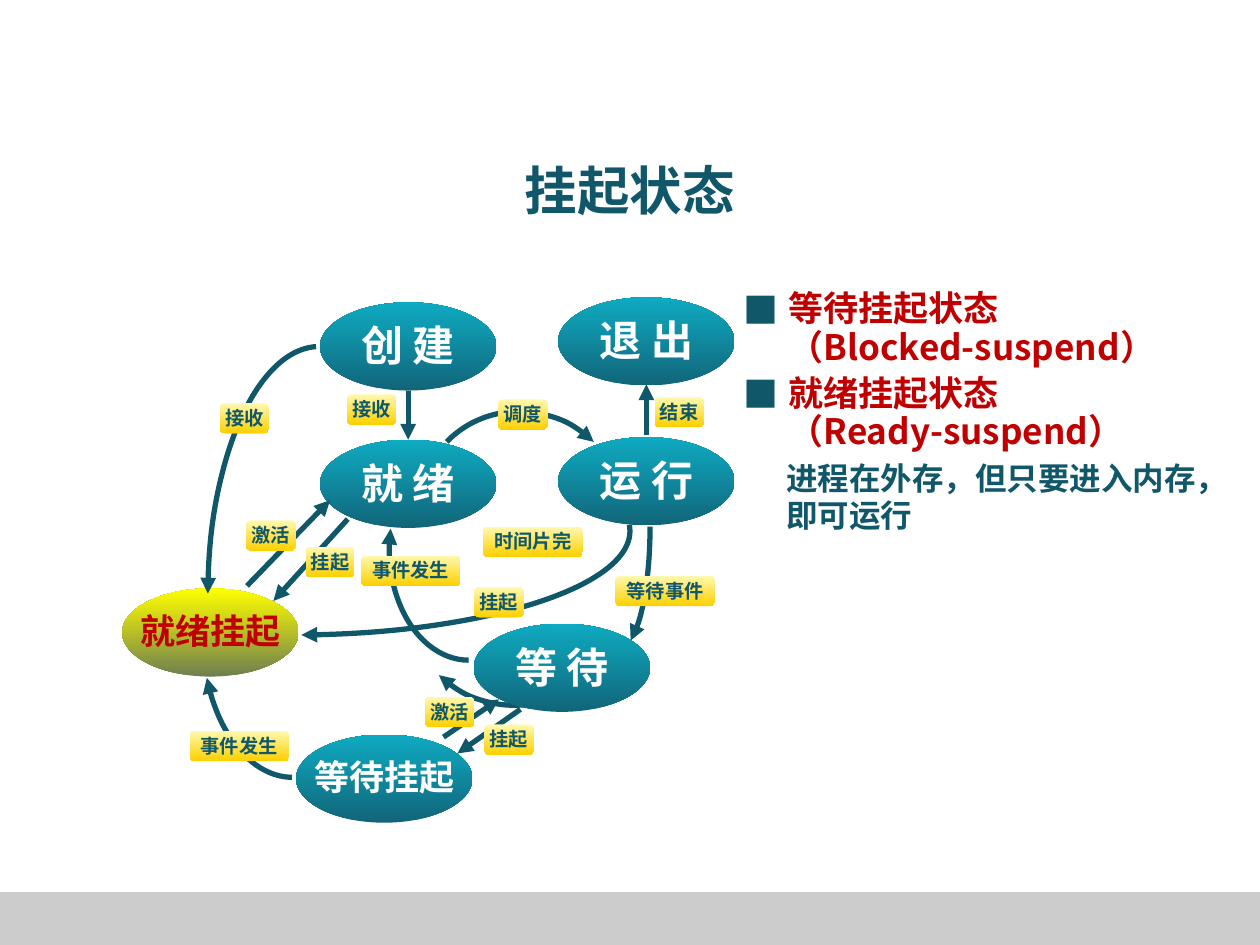
from lxml.etree import SubElement
from pptx import Presentation
from pptx.dml.color import RGBColor
from pptx.enum.shapes import MSO_CONNECTOR as Connector, MSO_SHAPE as Shape
from pptx.enum.text import MSO_ANCHOR as Anchor, PP_ALIGN as Align
from pptx.oxml import parse_xml
from pptx.oxml.ns import nsdecls, qn
from pptx.util import Inches, Pt

WIDTH, HEIGHT = 10, 7.5
THEME = {
    "font": "Noto Sans CJK SC", "bullet_font": "Noto Sans CJK JP",
    "ink": "11576A", "accent": "C00000", "light": "FFFFFF", "footer": "CCCCCC",
    "title": 30, "state": 24, "long_state": 20, "heading": 20, "body": 18, "label": 11,
    "arrow": 3,
    # Gradient: clockwise angle, then (percent, colour) stops
    "teal": (270, [(0, "116579"), (77, "0F9BB1"), (100, "0EABC2")]),
    "olive": (270, [(0, "6E7F4F"), (100, "FFFF00")]),
    "gold": (90, [(0, "FFF9B1"), (100, "FDD000")]),
}

TITLE = "挂起状态"
HEADINGS = [["等待挂起状态", "（Blocked-suspend）"], ["就绪挂起状态", "（Ready-suspend）"]]
EXPLANATION = "进程在外存，但只要进入内存，即可运行"

NODE_SIZE = (1.4, 0.7)
LEFT_COLUMN, RIGHT_COLUMN = 3.24, 5.13
# Text, centre x, centre y, gradient, text colour
STATES = [
    ("创 建", LEFT_COLUMN, 2.75, "teal", "light"),
    ("就 绪", LEFT_COLUMN, 3.84, "teal", "light"),
    ("运 行", RIGHT_COLUMN, 3.82, "teal", "light"),
    ("等 待", 4.46, 5.3, "teal", "light"),
    ("退 出", RIGHT_COLUMN, 2.71, "teal", "light"),
    ("就绪挂起", 1.67, 5.02, "olive", "accent"),
    ("等待挂起", 3.05, 6.18, "teal", "light"),
]
# Text, centre x, centre y
LABELS = [
    ("挂起", 3.96, 4.78), ("接收", 1.94, 3.32), ("事件发生", 1.9, 5.92),
    ("接收", 2.95, 3.25), ("激活", 2.15, 4.25), ("挂起", 2.62, 4.46),
    ("事件发生", 3.26, 4.53), ("激活", 3.57, 5.65), ("挂起", 4.04, 5.87),
    ("等待事件", 5.28, 4.69), ("时间片完", 4.23, 4.3), ("调度", 4.15, 3.29),
    ("结束", 5.39, 3.27),
]
# Each arrow points at its second end
STRAIGHT_ARROWS = [
    ((LEFT_COLUMN, 3.1), (LEFT_COLUMN, 3.49)),
    ((RIGHT_COLUMN, 3.45), (RIGHT_COLUMN, 3.05)),
    ((4.13, 5.63), (3.63, 5.98)),
    ((3.52, 5.85), (3.96, 5.55)),
    ((1.96, 4.65), (2.62, 3.97)),
    ((2.76, 4.12), (2.17, 4.77)),
]
# Box, start and end in degrees, end with the arrowhead, rotation, flips
BACK_ARCS = [
    ((4.66, 3.2, 0.5, 1.96), (0.13, 83.91), "tailEnd", 0, ""),
    ((3.22, 3.89, 1.67, 1.72), (267.64, 359.27), "tailEnd", 134, ""),
]
FRONT_ARCS = [
    ((3.34, 3.25, 1.62, 1.68), (270, 0), "tailEnd", 314, ""),
    ((-0.39, 3.39, 5.39, 1.65), (358.96, 83.95), "tailEnd", 0, ""),
    ((3.09, 3.48, 1.26, 1.76), (345.23, 90), "headEnd", 0, "H"),
    ((1.61, 3.92, 1.43, 2.25), (26.13, 89.63), "headEnd", 0, "H"),
    ((1.65, 2.75, 1.77, 3.95), (0.9, 89.23), "headEnd", 0, "HV"),
]


def inches(values):
    return [Inches(value) for value in values]


def centred(x, y, width, height):
    return x - width / 2, y - height / 2, width, height


def colour(name):
    return RGBColor.from_string(THEME[name])


def add_text(slide, box, lines, size, ink="ink", font="font", frame_format=None, **paragraph_format):
    frame = slide.shapes.add_textbox(*inches(box)).text_frame
    for name, value in {"word_wrap": True, **(frame_format or {})}.items():
        setattr(frame, name, value)
    frame.text = "\n".join(lines)
    for paragraph in frame.paragraphs:
        for name, value in paragraph_format.items():
            setattr(paragraph, name, value)
        for run in paragraph.runs:
            run.font.size, run.font.bold, run.font.name = Pt(THEME[size]), True, THEME[font]
            run.font.color.rgb = colour(ink)
            SubElement(run.font._element, qn("a:ea"), typeface=THEME[font])


def add_plain_shape(slide, kind, box):
    shape = slide.shapes.add_shape(kind, *inches(box))
    shape.shadow.inherit = False
    shape.line.fill.background()
    return shape


def add_gradient_shape(slide, kind, box, gradient):
    shape = add_plain_shape(slide, kind, box)
    angle, stops = THEME[gradient]
    stop_xml = "".join(
        f'<a:gs pos="{percent * 1000}"><a:srgbClr val="{value}"/></a:gs>' for percent, value in stops)
    fill = parse_xml(f'<a:gradFill {nsdecls("a")} rotWithShape="1"><a:gsLst>{stop_xml}</a:gsLst>'
                     f'<a:lin ang="{angle * 60000}" scaled="1"/></a:gradFill>')
    shape.element.spPr.find(qn("a:prstGeom")).addnext(fill)


def style_arrow(shape, end):
    shape.line.color.rgb = colour("ink")
    shape.line.width = Pt(THEME["arrow"])
    SubElement(shape.element.spPr.find(qn("a:ln")), qn(f"a:{end}"), type="triangle")


def add_arc(slide, box, angles, end, rotation, flips):
    shape = add_plain_shape(slide, Shape.ARC, box)
    shape.fill.background()
    shape.rotation = rotation
    for index, degrees in enumerate(angles):
        shape.adjustments[index] = degrees * 0.6
    for axis in flips:
        shape.element.spPr.xfrm.set(f"flip{axis}", "1")
    style_arrow(shape, end)


def add_straight_arrow(slide, start, end):
    line = slide.shapes.add_connector(Connector.STRAIGHT, *inches(start + end))
    style_arrow(line, "tailEnd")
    SubElement(line.element.spPr, qn("a:effectLst"))


def add_state(slide, text, x, y, gradient, ink):
    add_gradient_shape(slide, Shape.OVAL, centred(x, y, *NODE_SIZE), gradient)
    size, box = ("state", (0.98, 0.5)) if " " in text else ("long_state", (1.32, 0.44))
    add_text(slide, centred(x, y - 0.01, *box), [text], size, ink,
             frame_format={"word_wrap": False}, alignment=Align.CENTER)


def add_label(slide, text, x, y):
    pill, box = (0.39, 0.55) if len(text) == 2 else (0.79, 0.94)
    add_gradient_shape(slide, Shape.ROUNDED_RECTANGLE, centred(x, y, pill, 0.24), "gold")
    add_text(slide, centred(x, y, box, 0.29), [text], "label", alignment=Align.CENTER)


def add_headings(slide):
    for row, lines in enumerate(HEADINGS):
        y = 2.31 + row * 0.67
        add_text(slide, (6.16, y, 5.7, 0.78), lines, "heading", "accent",
                 line_spacing=Pt(18), space_before=Pt(4))
        add_text(slide, (5.8, y - 0.07, 0.42, 0.44), ["■"], "heading", font="bullet_font",
                 space_before=Pt(4))


def main():
    presentation = Presentation()
    presentation.slide_width, presentation.slide_height = inches((WIDTH, HEIGHT))
    slide = presentation.slides.add_slide(presentation.slide_layouts[6])

    footer = add_plain_shape(slide, Shape.RECTANGLE, (0, 7.08, WIDTH, 0.42))
    footer.fill.solid()
    footer.fill.fore_color.rgb = colour("footer")
    add_text(slide, (0.75, 1.04, 8.5, 0.92), [TITLE], "title",
             frame_format={"vertical_anchor": Anchor.MIDDLE}, alignment=Align.CENTER)
    add_headings(slide)
    add_text(slide, (6.14, 3.59, 3.84, 0.78), [EXPLANATION], "body", space_before=Pt(3.6))

    for add, items in ((add_arc, BACK_ARCS), (add_state, STATES), (add_arc, FRONT_ARCS),
                       (add_straight_arrow, STRAIGHT_ARROWS), (add_label, LABELS)):
        for item in items:
            add(slide, *item)
    presentation.save("out.pptx")


if __name__ == "__main__":
    main()
